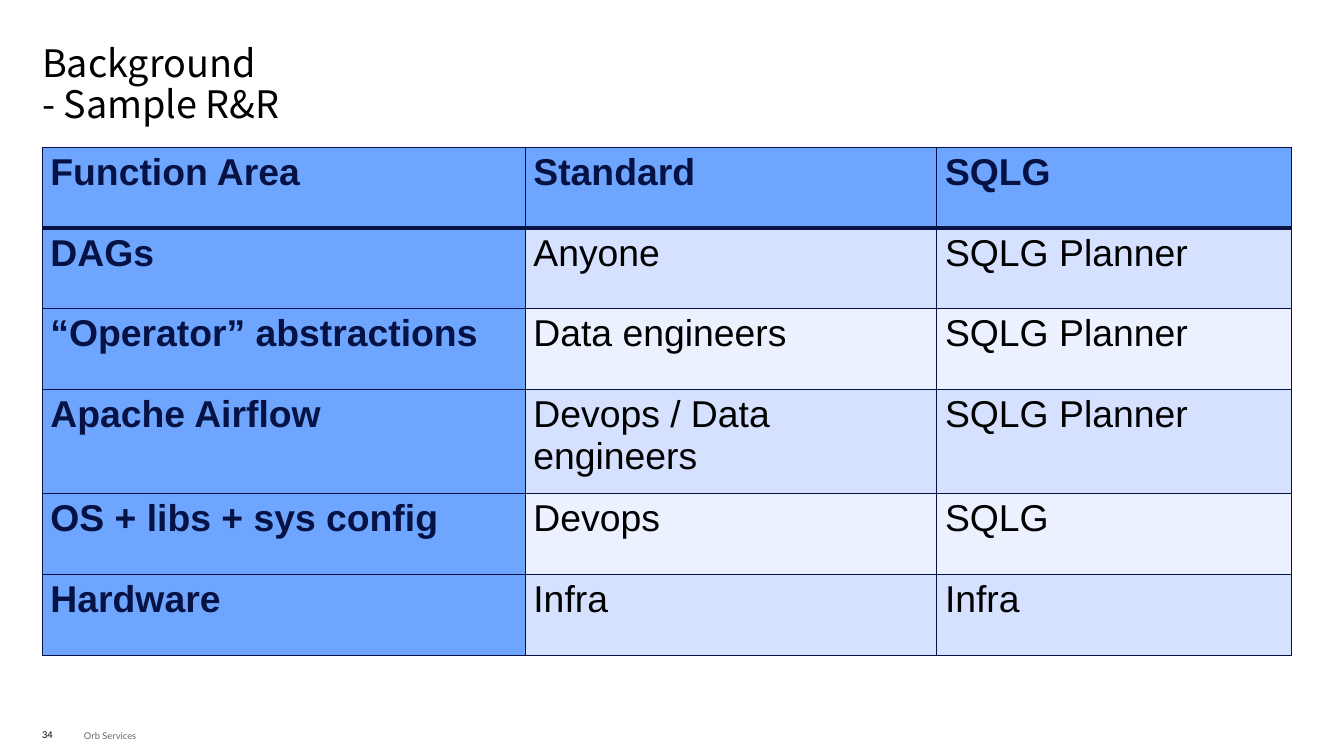
from pptx import Presentation
from pptx.dml.color import RGBColor
from pptx.enum import text as t
from pptx.oxml import parse_xml
from pptx.oxml.ns import nsdecls
from pptx.util import Pt

BLACK = RGBColor(0x00, 0x00, 0x00)
GREY = RGBColor(0x66, 0x66, 0x66)
NAVY = RGBColor(0x05, 0x12, 0x43)
BLUE = RGBColor(0x6E, 0xA6, 0xFF)
PALE = RGBColor(0xD5, 0xE1, 0xFF)
LIGHT = RGBColor(0xEB, 0xF1, 0xFF)

COLS = [414, 352.8, 304.6]
ROWS = [69.4, 69.4, 69.4, 88.6, 69.4, 69.4]
ROLES = [
    ("Function Area", "Standard", "SQLG"),
    ("DAGs", "Anyone", "SQLG Planner"),
    ("“Operator” abstractions", "Data engineers", "SQLG Planner"),
    ("Apache Airflow", "Devops / Data engineers", "SQLG Planner"),
    ("OS + libs + sys config", "Devops", "SQLG"),
    ("Hardware", "Infra", "Infra"),
]


def style(para, font, size, color, bold=False):
    for run in para.runs:
        run.font.name = font
        run.font.size = Pt(size)
        run.font.color.rgb = color
        run.font.bold = bold


def add_text(slide, words, box, font, size, color, lead=None):
    frame = slide.shapes.add_textbox(*map(Pt, box)).text_frame
    frame.word_wrap = True
    frame.vertical_anchor = t.MSO_ANCHOR.MIDDLE
    frame.margin_left = frame.margin_right = 0
    frame.margin_top = frame.margin_bottom = 0
    para = frame.paragraphs[0]
    para.text = words
    para.line_spacing = lead
    style(para, font, size, color)


def add_edge(cell, side, width):
    cell._tc.get_or_add_tcPr().append(parse_xml(
        f'<a:ln{side} {nsdecls("a")} w="{Pt(width)}"><a:solidFill>'
        f'<a:srgbClr val="{NAVY}"/></a:solidFill></a:ln{side}>'))


def fill_cell(cell, words, row, col):
    head = row == 0 or col == 0
    edges = {"L": 1, "R": 1, "T": 3 if row == 1 else 1, "B": 3 if row == 0 else 1}
    for side, width in edges.items():
        add_edge(cell, side, width)
    cell.fill.solid()
    cell.fill.fore_color.rgb = BLUE if head else PALE if row % 2 else LIGHT
    cell.text_frame.text = words
    style(cell.text_frame.paragraphs[0], "Arial", 32, NAVY if head else BLACK, head)


def add_roles(slide):
    box = (36, 126, sum(COLS), sum(ROWS))
    table = slide.shapes.add_table(len(ROWS), len(COLS), *map(Pt, box)).table
    for col, width in zip(table.columns, COLS):
        col.width = Pt(width)
    for row, height in zip(table.rows, ROWS):
        row.height = Pt(height)
    for r, line in enumerate(ROLES):
        for c, words in enumerate(line):
            fill_cell(table.cell(r, c), words, r, c)


def main():
    deck = Presentation()
    deck.slide_width, deck.slide_height = Pt(1152), Pt(648)
    slide = deck.slides.add_slide(deck.slide_layouts[6])
    add_text(slide, "Orb Services", (72, 622, 180, 17.3), "Lato", 8, GREY)
    add_text(slide, "34", (36, 621.4, 26, 17.3), "Lato", 8, BLACK)
    add_text(slide, "Background\v- Sample R&R", (36, 43.2, 1071.4, 60.5),
             "Noto Sans CJK SC", 32.4, BLACK, 0.9)
    add_roles(slide)
    deck.save("out.pptx")


if __name__ == "__main__":
    main()
